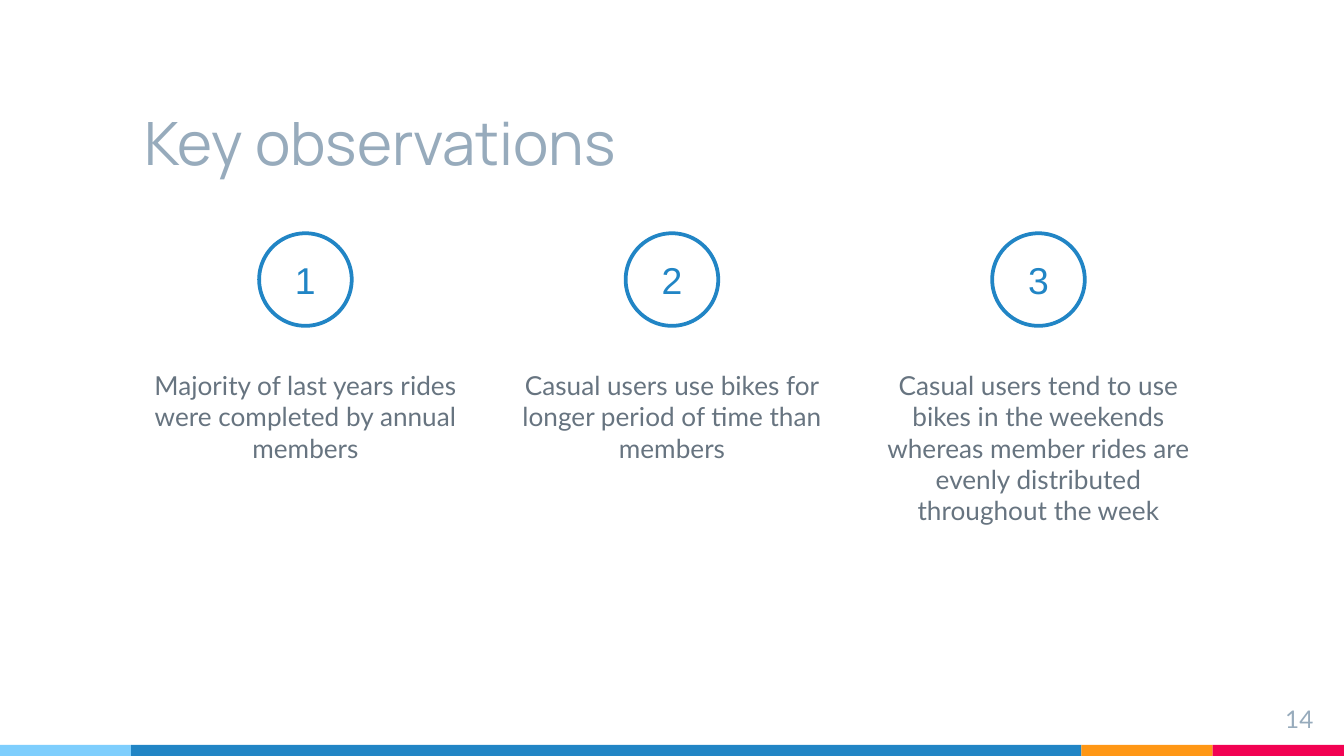
from dataclasses import dataclass

from pptx import Presentation
from pptx import util as u
from pptx.dml.color import RGBColor
from pptx.enum import shapes, text


@dataclass(frozen=True)
class Theme:
    """Colours, fonts and type sizes of the deck."""
    white: str = "FFFFFF"
    blue: str = "2185C5"
    sky: str = "7ECEFD"
    orange: str = "FF9715"
    red: str = "F20253"
    pale: str = "97ABBC"
    slate: str = "677480"
    title_font: str = "Manrope"
    body_font: str = "Lato"
    number_font: str = "Arial"
    title_size: int = 32
    number_size: int = 20
    body_size: int = 14
    page_size: int = 13


THEME = Theme()
WIDTH, HEIGHT = 25.4, 14.29
MARGIN = 2.48
OBSERVATIONS = (
    "Majority of last years rides were completed by annual members",
    "Casual users use bikes for longer period of time than members",
    "Casual users tend to use bikes in the weekends whereas member rides "
    "are evenly distributed throughout the week",
)


def lengths(box):
    """Turn left, top, width and height in centimetres into lengths."""
    return [u.Cm(value) for value in box]


def write(shape, words, *, font, size, color, align="LEFT", anchor="TOP",
          before=0, inset=0.25):
    """Fill a shape with one formatted paragraph."""
    frame = shape.text_frame
    frame.word_wrap = True
    frame.auto_size = text.MSO_AUTO_SIZE.NONE
    frame.vertical_anchor = text.MSO_ANCHOR[anchor]
    for side in ("left", "top", "right", "bottom"):
        setattr(frame, f"margin_{side}", u.Cm(inset))
    para = frame.paragraphs[0]
    para.alignment = text.PP_ALIGN[align]
    para.space_before = u.Pt(before)
    span = para.add_run()
    span.text = words
    span.font.name = font
    span.font.size = u.Pt(size)
    span.font.color.rgb = RGBColor.from_string(color)


def add_plain(page, kind, box, fill, line=None):
    """Add a flat preset shape, outlined when a line colour is given."""
    shape = page.shapes.add_shape(shapes.MSO_SHAPE[kind], *lengths(box))
    shape.shadow.inherit = False
    shape.fill.solid()
    shape.fill.fore_color.rgb = RGBColor.from_string(fill)
    if line:
        shape.line.color.rgb = RGBColor.from_string(line)
        shape.line.width = u.Pt(2)
    else:
        shape.line.fill.background()
    return shape


def add_stripe(page, box):
    """Draw the four-colour stripe with three equal end pieces."""
    left, top, width, height = box
    middle = width - 3 * MARGIN
    pieces = ((THEME.sky, MARGIN), (THEME.blue, middle),
              (THEME.orange, MARGIN), (THEME.red, MARGIN))
    for color, length in pieces:
        add_plain(page, "RECTANGLE", (left, top, length, height), color)
        left += length


def add_title(page, box, words):
    """Place and format the title placeholder."""
    title = page.shapes.title
    title.left, title.top, title.width, title.height = lengths(box)
    write(title, words, font=THEME.title_font, size=THEME.title_size,
          color=THEME.pale, anchor="BOTTOM")


def add_observation(page, box, number, words):
    """Place a numbered circle centred above its observation."""
    left, top, width, height = box
    diameter, text_offset = 1.75, 2.32
    circle = add_plain(
        page, "OVAL", (left + (width - diameter) / 2, top, diameter, diameter),
        THEME.white, THEME.blue)
    write(circle, str(number), font=THEME.number_font, size=THEME.number_size,
          color=THEME.blue, align="CENTER", anchor="MIDDLE")
    body = page.shapes.add_textbox(
        *lengths((left, top + text_offset, width, height - text_offset)))
    write(body, words, font=THEME.body_font, size=THEME.body_size,
          color=THEME.slate, align="CENTER", before=6)


def add_observations(page, box):
    """Spread the observations over equal columns."""
    left, top, width, height = box
    gap = 0.34
    count = len(OBSERVATIONS)
    column = (width - gap * (count - 1)) / count
    for index, words in enumerate(OBSERVATIONS):
        place = (left + index * (column + gap), top, column, height)
        add_observation(page, place, index + 1, words)


def add_page_number(page, box, number):
    """Place the page number at the right of its box."""
    label = page.shapes.add_textbox(*lengths(box))
    write(label, str(number), font=THEME.body_font, size=THEME.page_size,
          color=THEME.pale, align="RIGHT")


def main():
    """Build the deck and save it."""
    deck = Presentation()
    deck.slide_width, deck.slide_height = u.Cm(WIDTH), u.Cm(HEIGHT)
    page = deck.slides.add_slide(deck.slide_layouts.get_by_name("Title Only"))
    add_stripe(page, (0, 14.08, WIDTH, 0.21))
    add_title(page, (MARGIN, 1.22, 17.96, 2.39), "Key observations")
    add_observations(page, (MARGIN, 4.41, WIDTH - 2 * MARGIN, 7.32))
    add_page_number(page, (23.55, 13.06, 1.52, 0.86), 14)
    deck.save("out.pptx")


if __name__ == "__main__":
    main()
